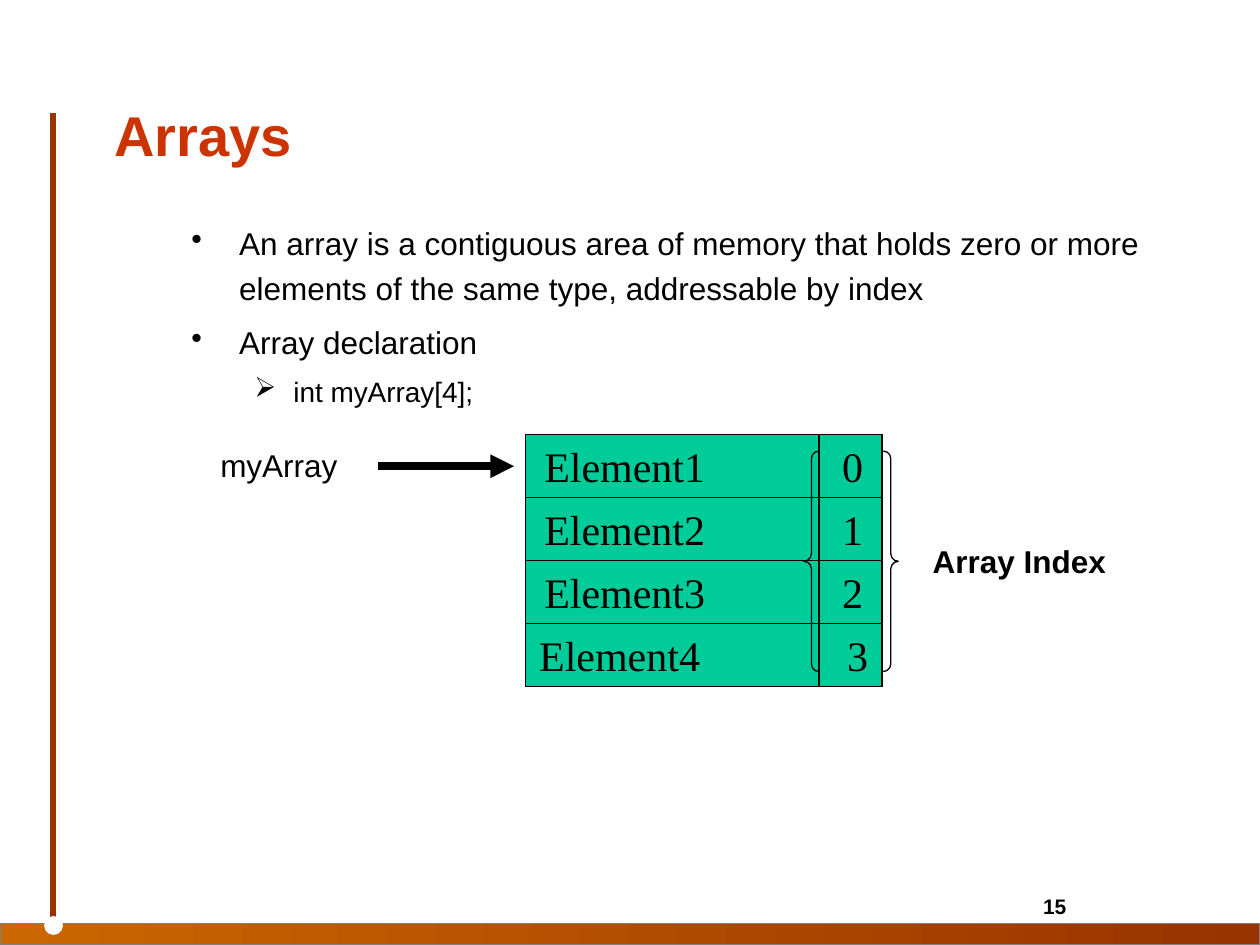
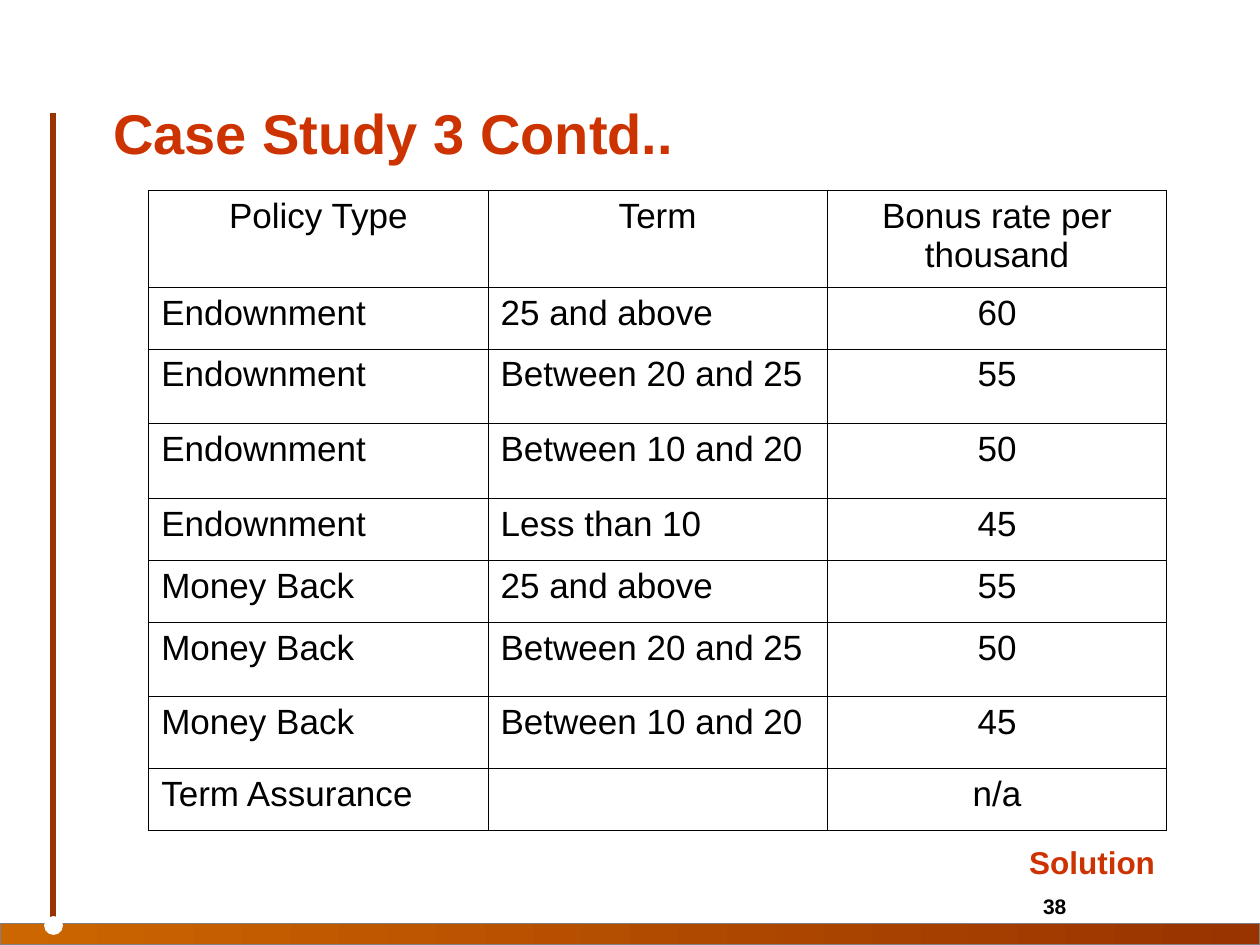
"""Build two lesson slides: arrays in memory and a bonus rate table."""
import pptx
import pptx.dml.color
import pptx.enum.shapes
import pptx.enum.text
import pptx.oxml.ns
import pptx.util
from lxml import etree

Inches, Pt = pptx.util.Inches, pptx.util.Pt
SHAPES = pptx.enum.shapes.MSO_SHAPE
ALIGN = pptx.enum.text.PP_ALIGN
ANCHOR = pptx.enum.text.MSO_ANCHOR
AUTO_SIZE = pptx.enum.text.MSO_AUTO_SIZE

BLACK, WHITE, RED, GREEN = "000000", "FFFFFF", "CC3300", "00CC99"
ORANGE, BROWN, GREY = "CC6600", "993300", "808080"

ARRAY_BULLETS = [
    (0, "An array is a contiguous area of memory that holds zero or more "
        "elements of the same type, addressable by index"),
    (0, "Array declaration"),
    (1, "int myArray[4];"),
]
BULLET_STYLES = [
    {"mark": "•", "size": 18, "left": 0.38, "hanging": 0.38, "before": 4.5},
    {"mark": "➢", "size": 16, "left": 0.81, "hanging": 0.31, "before": 4},
]
ARRAY_CELLS = [
    ("Element1", "0", 0.15),
    ("Element2", "1", 0.15),
    ("Element3", "2", 0.15),
    ("Element4", "3", 0.11),
]
ARRAY_LEFT, ARRAY_TOP, ARRAY_WIDTH, CELL_HEIGHT = 4.17, 3.45, 2.83, 0.5
INDEX_LINE_X = 6.5

BONUS_RATES = [
    ("Policy Type", "Term", "Bonus rate per thousand"),
    ("Endownment", "25 and above", "60"),
    ("Endownment", "Between 20 and 25", "55"),
    ("Endownment", "Between 10 and 20", "50"),
    ("Endownment", "Less than 10", "45"),
    ("Money Back", "25 and above", "55"),
    ("Money Back", "Between 20 and 25", "50"),
    ("Money Back", "Between 10 and 20", "45"),
    ("Term Assurance", "", "n/a"),
]
ROW_HEIGHTS = [0.77, 0.49, 0.59, 0.6, 0.49, 0.49, 0.59, 0.57, 0.49]
TABLE_BOX = (1.18, 1.51, 8.08, sum(ROW_HEIGHTS))


def color(value):
    return pptx.dml.color.RGBColor.from_string(value)


def add_element(parent, tag, **attributes):
    return etree.SubElement(parent, pptx.oxml.ns.qn(tag), attributes)


def set_font(paragraph, size, tint=BLACK, bold=False, name="Arial"):
    font = paragraph.font
    font.name, font.size, font.bold = name, Pt(size), bold
    font.color.rgb = color(tint)


def add_text(slide, box, text, size, tint=BLACK, bold=False, align=ALIGN.LEFT,
             anchor=ANCHOR.TOP, wrap=False, grow=False):
    frame = slide.shapes.add_textbox(*map(Inches, box)).text_frame
    frame.word_wrap = wrap
    frame.auto_size = AUTO_SIZE.SHAPE_TO_FIT_TEXT if grow else AUTO_SIZE.NONE
    frame.vertical_anchor = anchor
    paragraph = frame.paragraphs[0]
    paragraph.text = text
    paragraph.alignment = align
    set_font(paragraph, size, tint, bold)


def add_shape(slide, kind, box, fill=None, line=None):
    shape = slide.shapes.add_shape(kind, *map(Inches, box))
    shape.shadow.inherit = False
    if fill:
        shape.fill.solid()
        shape.fill.fore_color.rgb = color(fill)
    else:
        shape.fill.background()
    if line:
        shape.line.color.rgb = color(line)
        shape.line.width = Pt(0.75)
    else:
        shape.line.fill.background()
    return shape


def add_line(slide, start, end, tint, width, arrow=False):
    connector = slide.shapes.add_connector(
        pptx.enum.shapes.MSO_CONNECTOR.STRAIGHT, *map(Inches, start + end))
    connector.line.color.rgb = color(tint)
    connector.line.width = Pt(width)
    if arrow:
        add_element(connector.line._get_or_add_ln(), "a:tailEnd", type="triangle")
    add_element(connector._element.spPr, "a:effectLst")


def add_framed_slide(presentation, title, title_position, number):
    slide = presentation.slides.add_slide(presentation.slide_layouts[6])
    add_line(slide, (0.42, 0.9), (0.42, 7.32), BROWN, 3)
    band = add_shape(slide, SHAPES.RECTANGLE, (0, 7.33, 10, 0.17), line=GREY)
    band.fill.gradient()
    band.fill.gradient_angle = 0
    for stop, tint in zip(band.fill.gradient_stops, (ORANGE, BROWN)):
        stop.color.rgb = color(tint)
    for stop, position in zip(band.fill.gradient_stops, (0, 1)):
        stop.position = position
    add_shape(slide, SHAPES.OVAL, (0.35, 7.27, 0.15, 0.15), WHITE)
    add_text(slide, (8.18, 7.04, 1, 0.3), number, 12, bold=True, wrap=True)
    add_text(slide, title_position + (7.83, 0.75), title, 32, RED, True,
             anchor=ANCHOR.MIDDLE, wrap=True)
    return slide


def add_bullets(slide, box, bullets):
    frame = slide.shapes.add_textbox(*map(Inches, box)).text_frame
    frame.word_wrap = True
    for position, (level, text) in enumerate(bullets):
        style = BULLET_STYLES[level]
        paragraph = frame.add_paragraph() if position else frame.paragraphs[0]
        paragraph.text = text
        paragraph.level = level
        paragraph.line_spacing = 1.2
        paragraph.space_before = Pt(style["before"])
        set_font(paragraph, style["size"])
        properties = paragraph._p.get_or_add_pPr()
        properties.set("marL", str(Inches(style["left"])))
        properties.set("indent", str(-Inches(style["hanging"])))
        bullet_color = etree.Element(pptx.oxml.ns.qn("a:buClr"))
        add_element(bullet_color, "a:srgbClr", val=BLACK)
        bullet_mark = etree.Element(pptx.oxml.ns.qn("a:buChar"), char=style["mark"])
        properties.find(pptx.oxml.ns.qn("a:defRPr")).addprevious(bullet_color)
        bullet_color.addnext(bullet_mark)


def add_array_cell(slide, row, name, index, inset):
    box = (ARRAY_LEFT, ARRAY_TOP + row * CELL_HEIGHT, ARRAY_WIDTH, CELL_HEIGHT)
    frame = add_shape(slide, SHAPES.RECTANGLE, box, GREEN, BLACK).text_frame
    frame.margin_left, frame.margin_right = Inches(inset), Inches(0.05)
    frame.vertical_anchor = ANCHOR.MIDDLE
    paragraph = frame.paragraphs[0]
    paragraph.text = f"{name}\t{index}"
    paragraph.alignment = ALIGN.LEFT
    set_font(paragraph, 24, name="Times New Roman")
    tabs = etree.Element(pptx.oxml.ns.qn("a:tabLst"))
    add_element(tabs, "a:tab", pos=str(Inches(ARRAY_WIDTH - 2 * inset)), algn="r")
    paragraph._p.pPr.find(pptx.oxml.ns.qn("a:defRPr")).addprevious(tabs)


def style_table_cell(cell, text, align):
    cell.text = text
    paragraph = cell.text_frame.paragraphs[0]
    paragraph.alignment = align
    set_font(paragraph, 20)
    properties = cell._tc.get_or_add_tcPr()
    for side in ("a:lnL", "a:lnR", "a:lnT", "a:lnB"):
        border = add_element(properties, side, w=str(Pt(0.45)))
        add_element(add_element(border, "a:solidFill"), "a:srgbClr", val=BLACK)
    cell.fill.background()


def build_arrays(presentation):
    slide = add_framed_slide(presentation, "Arrays", (0.81, 0.69), "15")
    add_bullets(slide, (1.42, 1.67, 7.83, 4.83), ARRAY_BULLETS)
    array_height = CELL_HEIGHT * len(ARRAY_CELLS)
    add_shape(slide, SHAPES.RECTANGLE,
              (ARRAY_LEFT, ARRAY_TOP, ARRAY_WIDTH, array_height), GREEN, BLACK)
    for row, array_cell in enumerate(ARRAY_CELLS):
        add_array_cell(slide, row, *array_cell)
    add_text(slide, (1.65, 3.49, 1.13, 0.4), "myArray", 18, grow=True)
    add_line(slide, (3, 3.7), (4.08, 3.7), BLACK, 4.5, arrow=True)
    add_line(slide, (INDEX_LINE_X, ARRAY_TOP),
             (INDEX_LINE_X, ARRAY_TOP + array_height), BLACK, 0.75)
    braces = add_shape(slide, SHAPES.DOUBLE_BRACE, (6.38, 3.58, 0.75, 1.75), line=BLACK)
    braces.adjustments[0] = 0.08
    add_text(slide, (7.13, 4.16, 1.92, 0.58), "Array Index", 18, bold=True,
             align=ALIGN.CENTER, anchor=ANCHOR.MIDDLE)


def build_bonus_rates(presentation):
    slide = add_framed_slide(presentation, "Case Study 3 Contd..", (0.8, 0.67), "38")
    table = slide.shapes.add_table(
        len(BONUS_RATES), len(BONUS_RATES[0]), *map(Inches, TABLE_BOX)).table
    table.first_row = table.horz_banding = False
    for row, height in zip(table.rows, ROW_HEIGHTS):
        row.height = Inches(height)
    for row, texts in enumerate(BONUS_RATES):
        for column, text in enumerate(texts):
            centered = row == 0 or column == 2
            style_table_cell(table.cell(row, column), text,
                             ALIGN.CENTER if centered else ALIGN.LEFT)
    add_text(slide, (8.07, 6.64, 1.2, 0.4), "Solution", 18, RED, True, grow=True)


def main():
    presentation = pptx.Presentation()
    presentation.slide_width, presentation.slide_height = Inches(10), Inches(7.5)
    build_arrays(presentation)
    build_bonus_rates(presentation)
    presentation.save("out.pptx")


if __name__ == "__main__":
    main()
